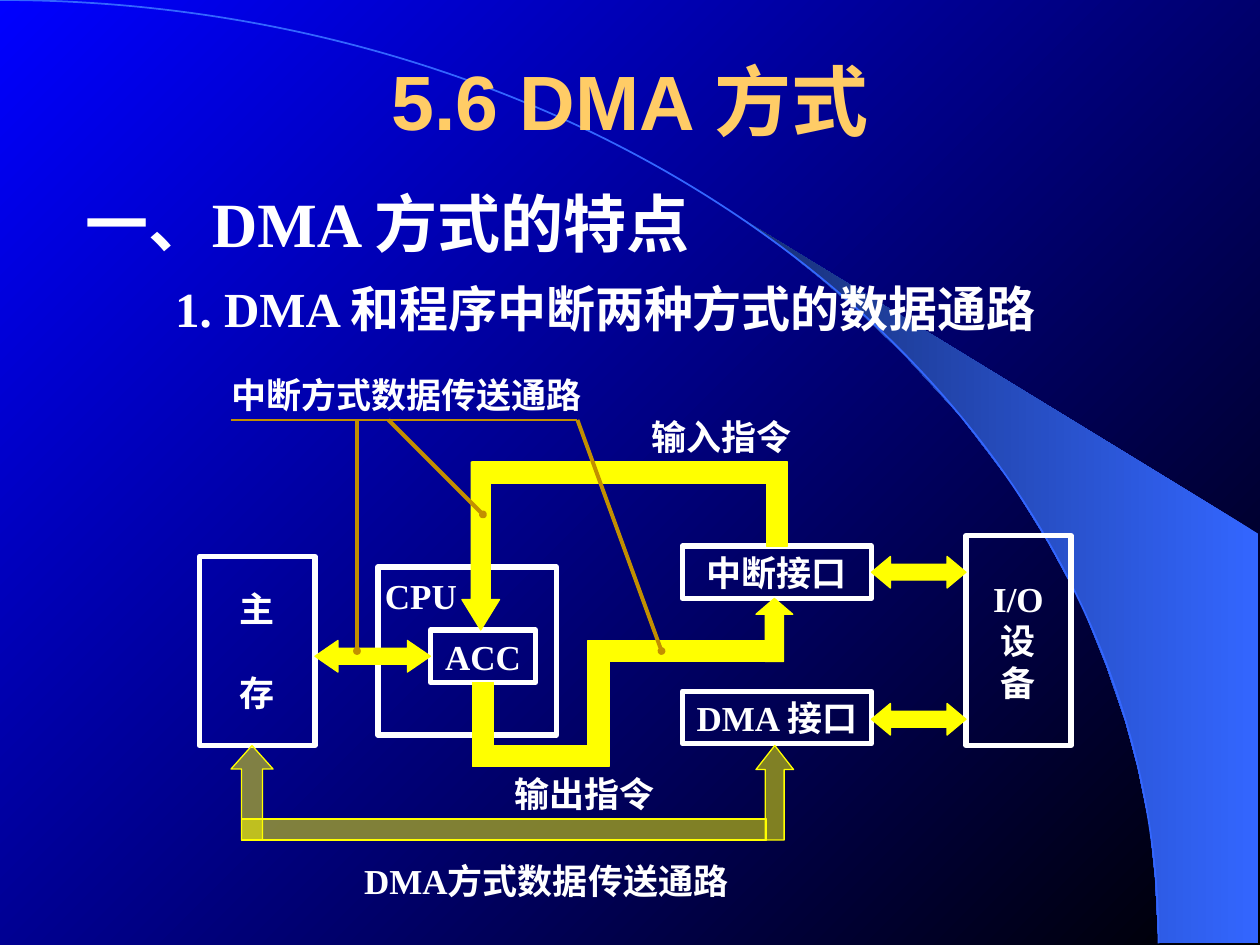
from lxml import etree
from pptx import Presentation
from pptx.dml.color import RGBColor
from pptx.enum.shapes import MSO_CONNECTOR, MSO_SHAPE
from pptx.enum.text import MSO_ANCHOR, MSO_AUTO_SIZE, PP_ALIGN
from pptx.oxml.ns import qn
from pptx.util import Pt

ARC, RECTANGLE = MSO_SHAPE.ARC, MSO_SHAPE.RECTANGLE
UP, DOWN, BOTH = MSO_SHAPE.UP_ARROW, MSO_SHAPE.DOWN_ARROW, MSO_SHAPE.LEFT_RIGHT_ARROW
STRAIGHT = MSO_CONNECTOR.STRAIGHT
TOP, MIDDLE = MSO_ANCHOR.TOP, MSO_ANCHOR.MIDDLE
GROW = MSO_AUTO_SIZE.SHAPE_TO_FIT_TEXT
LEFT, CENTER = PP_ALIGN.LEFT, PP_ALIGN.CENTER
TITLE_ONLY = 5

COLORS = {
    "black": "000000",
    "blue": "0000FF",
    "beam": "3366FF",
    "beam_dark": "172F75",
    "title": "FFCC66",
    "white": "FFFFFF",
    "bus": "FFFF00",
    "callout": "C28F00",
}

BEAM = [
    (662, 539), (719, 539), (719, 305), (424, 125), (449, 143), (470, 160),
    (493, 180), (516, 202), (549, 238), (578, 276), (599, 310), (618, 345),
    (632, 380), (643, 412), (650, 438), (657, 472), (660, 501),
]


def rgb(name):
    return RGBColor.from_string(COLORS[name])


def set_gradient(fill, start, end, angle):
    fill.gradient()
    fill.gradient_angle = angle
    for stop, name in zip(fill.gradient_stops, (start, end)):
        stop.color.rgb = rgb(name)


def set_line(shape, color, width):
    shape.line.color.rgb = rgb(color)
    shape.line.width = Pt(width)


def write(frame, text, size, color="white", font="Times New Roman", align=LEFT):
    frame.text = text
    for para in frame.paragraphs:
        para.alignment = align
        for span in para.runs:
            span.font.name = font
            span.font.size = Pt(size)
            span.font.bold = True
            span.font.color.rgb = rgb(color)


def add_label(page, text, left, top, width, height, size=20):
    box = page.shapes.add_textbox(Pt(left), Pt(top), Pt(width), Pt(height))
    box.text_frame.word_wrap = False
    box.text_frame.auto_size = GROW
    write(box.text_frame, text, size)


def add_unit(page, text, left, top, width, height, align=CENTER, anchor=MIDDLE):
    """Add an outlined hardware block and return its text frame."""
    box = page.shapes.add_shape(RECTANGLE, Pt(left), Pt(top), Pt(width), Pt(height))
    box.shadow.inherit = False
    box.fill.background()
    set_line(box, "white", 3)
    frame = box.text_frame
    frame.word_wrap = False
    frame.vertical_anchor = anchor
    frame.margin_left = frame.margin_right = Pt(4)
    frame.margin_top = frame.margin_bottom = Pt(4)
    write(frame, text, 20, align=align)
    return frame


def add_bus(page, kind, left, top, width, height, head=None, opacity=100):
    """Add a bar or block arrow of a data path; head is the arrowhead ratio."""
    bus = page.shapes.add_shape(kind, Pt(left), Pt(top), Pt(width), Pt(height))
    bus.shadow.inherit = False
    bus.fill.solid()
    bus.fill.fore_color.rgb = rgb("bus")
    set_line(bus, "bus", 0.75)
    if head:
        bus.adjustments[0] = 0.5
        bus.adjustments[1] = head
    if opacity < 100:
        color = bus._element.spPr.find(qn("a:solidFill")).find(qn("a:srgbClr"))
        etree.SubElement(color, qn("a:alpha"), val=str(opacity * 1000))


def add_callout(page, start, end, width=2.25, dot=True):
    line = page.shapes.add_connector(STRAIGHT, *(Pt(value) for value in start + end))
    set_line(line, "callout", width)
    if dot:
        etree.SubElement(line.get_or_add_ln(), qn("a:tailEnd"),
                         type="oval", w="sm", len="sm")
    etree.SubElement(line._element.spPr, qn("a:effectLst"))


def add_backdrop(page):
    set_gradient(page.background.fill, "black", "blue", 135)
    builder = page.shapes.build_freeform(*BEAM[0], scale=Pt(1))
    builder.add_line_segments(BEAM[1:], close=True)
    beam = builder.convert_to_shape()
    beam.shadow.inherit = False
    set_gradient(beam.fill, "beam", "beam_dark", 180)
    beam.line.fill.background()
    arc = page.shapes.add_shape(ARC, Pt(-662), Pt(0), Pt(1324), Pt(1078))
    arc.shadow.inherit = False
    arc.fill.background()
    set_line(arc, "beam", 1)


def add_headings(page):
    title = page.shapes.title
    title.left, title.top, title.width, title.height = Pt(54), Pt(12), Pt(612), Pt(90)
    title.text_frame.vertical_anchor = MIDDLE
    write(title.text_frame, "5.6 DMA 方式", 44, "title", "Arial", CENTER)
    add_label(page, "一、DMA 方式的特点", 42, 102, 402, 50, 36)
    add_label(page, "1. DMA 和程序中断两种方式的数据通路", 93, 155.5, 514, 41, 28)


def add_units(page):
    add_unit(page, "CPU", 216, 324, 102, 96, LEFT, TOP)
    memory = add_unit(page, "主\n存", 114, 318, 66, 108)
    memory.paragraphs[1].space_before = Pt(24)
    add_unit(page, "ACC", 246, 360, 60, 30)
    add_unit(page, "中断接口", 390, 312, 108, 30)
    add_unit(page, "DMA 接口", 390, 395, 108, 30)
    add_unit(page, "I/O\n设\n备", 552, 306, 60, 120)


def add_buses(page):
    output_bars = [(270, 390, 12, 42), (270, 426, 72, 12),
                   (336, 372, 12, 66), (336, 366, 108, 12)]
    input_bars = [(438, 270, 12, 42), (270, 264, 180, 12)]
    for bar in output_bars + input_bars:
        add_bus(page, RECTANGLE, *bar)
    add_bus(page, UP, 432, 342, 21, 36, 0.43)
    add_bus(page, DOWN, 264, 264, 21.5, 96, 0.81)
    add_bus(page, BOTH, 180, 366, 66, 18, 0.73)
    for top in (318, 402):
        add_bus(page, BOTH, 498, top, 54, 18, 0.6)
    add_bus(page, UP, 132, 426, 24, 54, 0.56, opacity=50)
    add_bus(page, RECTANGLE, 138, 468, 300, 12, opacity=50)
    add_bus(page, UP, 432, 426, 21.5, 54, 0.64, opacity=50)


def add_path_labels(page):
    add_label(page, "中断方式数据传送通路", 125, 210, 217, 32)
    add_callout(page, (132, 240), (330, 240), 0.75, dot=False)
    for start, end in (((204, 240), (204, 372)),
                       ((222, 240), (276, 294)),
                       ((330, 240), (378, 372))):
        add_callout(page, start, end)
    add_label(page, "输入指令", 365, 234, 98, 32)
    add_label(page, "输出指令", 287, 438, 98, 32)
    add_label(page, "DMA方式数据传送通路", 201, 487.5, 232, 32)


def main():
    deck = Presentation()
    deck.slide_width, deck.slide_height = Pt(720), Pt(540)
    page = deck.slides.add_slide(deck.slide_layouts[TITLE_ONLY])
    add_backdrop(page)
    add_headings(page)
    add_units(page)
    add_buses(page)
    add_path_labels(page)
    # The title comes first in the tree, so it is raised above the backdrop.
    page.shapes._spTree.append(page.shapes.title._element)
    deck.save("out.pptx")


if __name__ == "__main__":
    main()
